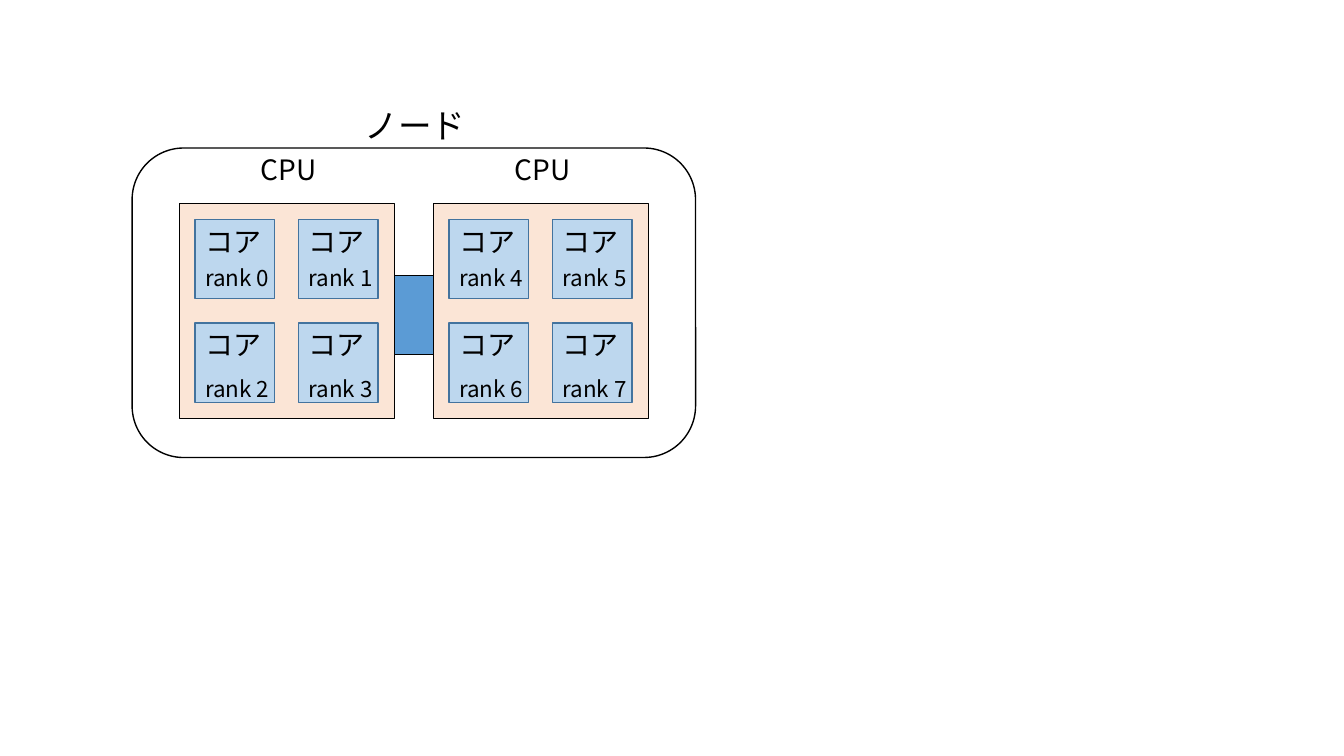
from lxml import etree
from pptx import Presentation
from pptx.dml.color import RGBColor
from pptx.enum import shapes, text
from pptx.oxml import ns
from pptx.util import Cm, Pt

NODE = "ノード"
CPUS = [
    ("CPU", [["rank 0", "rank 1"], ["rank 2", "rank 3"]]),
    ("CPU", [["rank 4", "rank 5"], ["rank 6", "rank 7"]]),
]
CORE = "コア"
FONT = "Noto Sans CJK JP"
COLORS = {
    "cpu": "FBE5D6",
    "core": "BDD7EE",
    "core_edge": "43739E",
    "bridge": "5B9BD5",
    "ink": "000000",
}

CPU_LEFT, CPU_TOP, CPU_SIZE = 4.52, 5.13, 5.42
BRIDGE_WIDTH, BRIDGE_HEIGHT = 0.98, 2
CORE_INSET, CORE_SIZE, CORE_PITCH = 0.4, 2, 2.61
RANK_DROPS = [1, 1.2]
NODE_BOX = (3.33, 3.73, 14.2, 7.8)

deck = Presentation()
deck.slide_width, deck.slide_height = Cm(33.87), Cm(19.05)
slide = deck.slides.add_slide(deck.slide_layouts[6])


def add_box(box, fill=None, edge="ink", kind=shapes.MSO_SHAPE.RECTANGLE):
    shape = slide.shapes.add_shape(kind, *map(Cm, box))
    shape.shadow.inherit = False
    if fill:
        shape.fill.solid()
        shape.fill.fore_color.rgb = RGBColor.from_string(COLORS[fill])
    else:
        shape.fill.background()
    shape.line.color.rgb = RGBColor.from_string(COLORS[edge])
    shape.line.width = Pt(1)


def add_label(words, box, size):
    frame = slide.shapes.add_textbox(*map(Cm, box)).text_frame
    frame.word_wrap = False
    frame.auto_size = text.MSO_AUTO_SIZE.SHAPE_TO_FIT_TEXT
    paragraph = frame.paragraphs[0]
    paragraph.text = words
    paragraph.font.size = Pt(size)
    paragraph.font.color.rgb = RGBColor.from_string(COLORS["ink"])
    paragraph.font.name = FONT
    defaults = paragraph._p.get_or_add_pPr().find(ns.qn("a:defRPr"))
    etree.SubElement(defaults, ns.qn("a:ea")).set("typeface", FONT)


for number, (cpu, ranks) in enumerate(CPUS):
    left = CPU_LEFT + number * (CPU_SIZE + BRIDGE_WIDTH)
    add_box((left, CPU_TOP, CPU_SIZE, CPU_SIZE), "cpu")
    add_label(cpu, (left + 1.8, NODE_BOX[1], 2, 1.11), 20)
    for row, (names, drop) in enumerate(zip(ranks, RANK_DROPS)):
        for column, rank in enumerate(names):
            x = left + CORE_INSET + column * CORE_PITCH
            y = CPU_TOP + CORE_INSET + row * CORE_PITCH
            add_box((x, y, CORE_SIZE, CORE_SIZE), "core", "core_edge")
            add_label(CORE, (x, y, 1.93, 1.11), 20)
            add_label(rank, (x, y + drop, 2.16, 0.94), 16)

bridge_top = CPU_TOP + (CPU_SIZE - BRIDGE_HEIGHT) / 2 + 0.1
add_box((CPU_LEFT + CPU_SIZE, bridge_top, BRIDGE_WIDTH, BRIDGE_HEIGHT), "bridge")
add_box(NODE_BOX, kind=shapes.MSO_SHAPE.ROUNDED_RECTANGLE)
add_label(NODE, (8.94, 2.51, 3.07, 1.28), 24)

deck.save("out.pptx")
